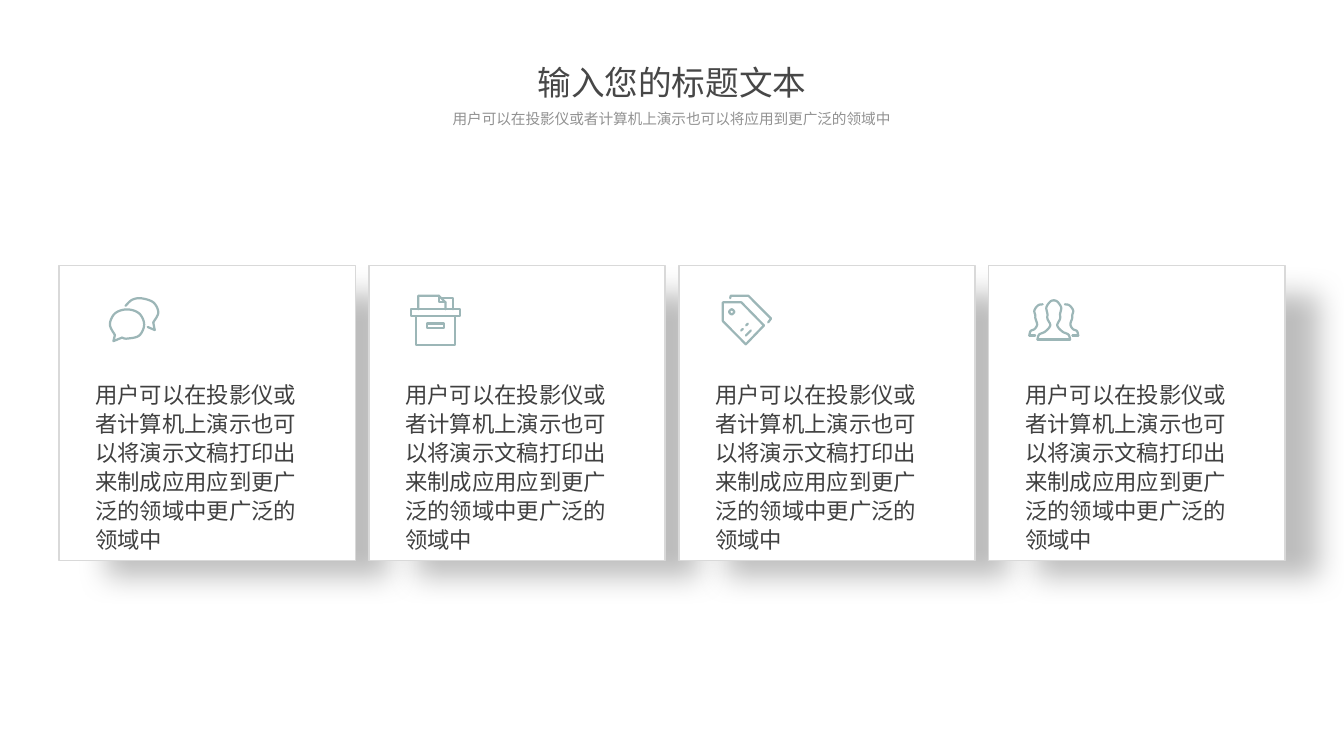
"""Builds a slide with a centred heading and four shadowed icon cards."""
from lxml.etree import SubElement
from pptx import Presentation
from pptx.dml.color import RGBColor
from pptx.enum.shapes import MSO_SHAPE
from pptx.enum.text import MSO_AUTO_SIZE, PP_ALIGN
from pptx.oxml import parse_xml
from pptx.oxml.ns import nsdecls, qn
from pptx.util import Pt

FONT = "Noto Sans CJK SC"
WHITE = RGBColor(0xFF, 0xFF, 0xFF)
BORDER = RGBColor(0xD9, 0xD9, 0xD9)
TEAL = RGBColor(0x9C, 0xB6, 0xB7)
BODY = RGBColor(0x40, 0x40, 0x40)
TITLE = RGBColor(0x47, 0x47, 0x47)
SUBTITLE = RGBColor(0x92, 0x92, 0x92)

CARD_TEXT = "用户可以在投影仪或者计算机上演示也可以将演示文稿打印出来制成应用应到更广泛的领域中更广泛的领域中"
CARD_LEFT, CARD_TOP, CARD_W, CARD_H, PITCH = 42.1, 189.5, 211.7, 211, 221.4
ICON_UNIT = 0.72
SHADOW = f"""<a:effectLst {nsdecls("a")}>
  <a:outerShdw blurRad="{Pt(21)}" dist="{Pt(40)}" dir="1920000"
    sx="95000" sy="95000" algn="tl" rotWithShape="0">
    <a:srgbClr val="000000"><a:alpha val="26000"/></a:srgbClr>
  </a:outerShdw>
</a:effectLst>"""

person = [(9.3, 39.8), (11, 35), (17, 32), (22, 26), (19.3, 19.5),
          (19.2, 14.5), (18.2, 8), (22, 2.3), (25.5, 1)]
neighbour = [(14.5, 5), (10, 6), (6.3, 11), (7.2, 16), (7.3, 19),
             (9, 25), (6.5, 29.5), (2.5, 31.5), (1.2, 36)]

# fmt: off
chat = [
    (True, [(6, 37.5), (1, 27), (6, 16), (18, 12), (30, 16),
            (35, 27), (30, 38), (18, 41), (13, 40)]),
    (False, [(6, 37.5), (4.5, 43.5), (13, 40)]),
    (True, [(16.5, 8.5), (23, 2.5), (32, 1), (44, 5), (49, 15), (44, 25)]),
    (False, [(44, 25), (45.5, 32.5), (38.5, 29.5)]),
]
box = [
    (False, [(1, 15), (49.5, 15), (49.5, 22), (1, 22), (1, 15)]),
    (False, [(5.5, 22), (5.5, 50), (44.5, 50), (44.5, 22)]),
    (False, [(8, 15), (8, 1.5), (28.5, 1.5), (35, 8), (35, 15)]),
    (False, [(28.5, 1.5), (28.5, 8), (35, 8)]),
    (False, [(31, 4), (42.5, 4), (42.5, 15)]),
    (False, [(17, 29), (33.5, 29), (33.5, 33.5), (17, 33.5), (17, 29)]),
]
tag = [
    (False, [(1.2, 8), (19.5, 8), (42, 31), (24, 49.7), (1.2, 26.7), (1.2, 8)]),
    (True, [(7.5, 17.5), (10, 15), (12.5, 17.5), (10, 20), (7.5, 17.5)]),
    (False, [(8.5, 4), (9, 1.5), (26.5, 1.5), (49, 24.2), (46.2, 28)]),
    (False, [(24, 41), (29, 36)]),
    (False, [(19.3, 36), (21, 34.5)]),
    (False, [(24.3, 31), (26, 29.3)]),
]
people = [(False, [(9.3, 39.8), (41.7, 39.8)])]
for smooth, points in [(True, person), (True, neighbour), (False, [(1.2, 36), (7, 36)])]:
    people.append((smooth, points))
    people.append((smooth, [(51 - x, y) for x, y in points]))
# fmt: on


def smooth_curve(points, steps=8):
    """Return points along a Catmull-Rom curve."""
    ends = [points[0], *points, points[-1]]
    if points[0] == points[-1]:
        ends[0], ends[-1] = points[-2], points[1]
    curve = [points[0]]
    for a, b, c, d in zip(ends, ends[1:], ends[2:], ends[3:]):
        for step in range(1, steps + 1):
            t = step / steps
            curve.append(tuple(
                (2 * q + (r - p) * t + (2 * p - 5 * q + 4 * r - s) * t**2
                 + (3 * q - p - 3 * r + s) * t**3) / 2
                for p, q, r, s in zip(a, b, c, d)))
    return curve


def add_text(box, text, size, color, align, spacing, insets):
    """Place one wrapped paragraph in a box given in points."""
    tf = slide.shapes.add_textbox(*map(Pt, box)).text_frame
    tf.word_wrap = True
    tf.auto_size = MSO_AUTO_SIZE.SHAPE_TO_FIT_TEXT
    tf.margin_left = tf.margin_right = Pt(insets[0])
    tf.margin_top = tf.margin_bottom = Pt(insets[1])
    p = tf.paragraphs[0]
    p.text = text
    p.alignment = align
    p.line_spacing = spacing
    font = p.runs[0].font
    font.name, font.size = FONT, Pt(size)
    font.color.rgb = color
    SubElement(p.runs[0]._r.get_or_add_rPr(), qn("a:ea"), typeface=FONT)


prs = Presentation()
prs.slide_width, prs.slide_height = Pt(960), Pt(540)
slide = prs.slides.add_slide(prs.slide_layouts[6])

for i in range(4):
    sp = slide.shapes.add_shape(
        MSO_SHAPE.RECTANGLE, Pt(CARD_LEFT + i * PITCH), Pt(CARD_TOP), Pt(CARD_W), Pt(CARD_H))
    sp.fill.solid()
    sp.fill.fore_color.rgb = WHITE
    sp.line.color.rgb = BORDER
    sp.line.width = Pt(1)
    sp._element.spPr.append(parse_xml(SHADOW))

icons = [(77.8, 212.4, chat), (293, 210.2, box), (515.5, 210.2, tag), (734.4, 213.8, people)]
for left, top, strokes in icons:
    builder = None
    for smooth, points in strokes:
        line = smooth_curve(points) if smooth else points
        start, *rest = [(Pt(left + x * ICON_UNIT), Pt(top + y * ICON_UNIT)) for x, y in line]
        if builder is None:
            builder = slide.shapes.build_freeform(*start)
        else:
            builder.move_to(*start)
        builder.add_line_segments(rest, close=False)
    sp = builder.convert_to_shape()
    sp.shadow.inherit = False
    sp.fill.background()
    sp.line.color.rgb = TEAL
    sp.line.width = Pt(1.6)
    ln = sp.line._get_or_add_ln()
    ln.set("cap", "rnd")
    SubElement(ln, qn("a:round"))

for i in range(4):
    add_text((61 + i * PITCH, 267.1, 173.5, 131.8), CARD_TEXT, 16, BODY,
             PP_ALIGN.LEFT, 1.08, (7.2, 3.6))

add_text((376.6, 41, 206.6, 36), "输入您的标题文本", 24, TITLE, PP_ALIGN.CENTER, 1, (7.2, 3.6))
add_text((205.2, 75.6, 549.4, 16.6), "用户可以在投影仪或者计算机上演示也可以将应用到更广泛的领域中",
         10.5, SUBTITLE, PP_ALIGN.CENTER, 1.08, (3.6, 2.2))

prs.save("out.pptx")
